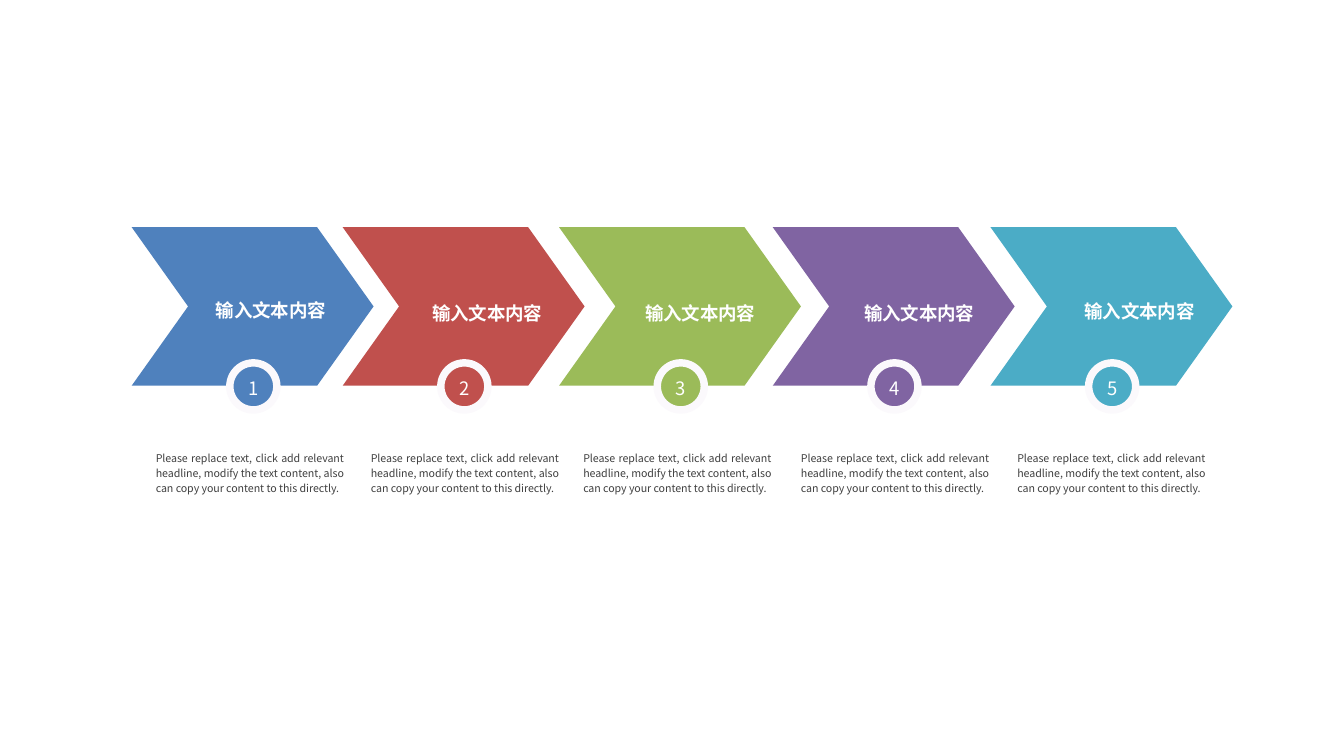
import dataclasses

import pptx
import pptx.dml.color
import pptx.enum.shapes
import pptx.enum.text
import pptx.oxml.ns
import pptx.util
from lxml import etree

PX = 9144  # EMU per px, 100 px to the inch
SLIDE_W = 1000
ALIGN = pptx.enum.text.PP_ALIGN
ANCHOR = pptx.enum.text.MSO_ANCHOR
SHAPE = pptx.enum.shapes.MSO_SHAPE


@dataclasses.dataclass(frozen=True)
class Theme:
    font: str = "Noto Sans CJK SC"
    label_size: float = 9.9
    body_size: float = 5.7
    line_spacing: float = 1.2
    ring_width: float = 4
    white: str = "FFFFFF"
    ring: str = "FBF9FC"
    body: str = "404040"


THEME = Theme()
LABEL = "输入文本内容"
BODY = ("Please replace text, click add relevant headline, modify the text "
        "content, also can copy your content to this directly.")

# Arrow left, arrow colour, label box, left of the description
STEPS = [
    (98, "4F81BD", (160, 219, 83, 20), 116),
    (255, "C0504D", (304, 222, 117, 18), 276),
    (416, "9BBB59", (460, 222, 122, 18), 434),
    (575, "8064A2", (624, 222, 120, 18), 596),
    (737, "4BACC6", (786, 222, 124, 15), 757),
]
ARROW_TOP, ARROW_W, ARROW_H, ARROW_POINT = 169, 180, 118, 42
BADGE_DX, BADGE_DY, BADGE_SIZE = 73, 101, 35
BODY_TOP, BODY_W, BODY_H = 334, 140, 34


def emu(box):
    return [v * PX for v in box]


def rgb(value):
    return pptx.dml.color.RGBColor.from_string(value)


def write(sp, text, size, color, align=ALIGN.CENTER, anchor=ANCHOR.MIDDLE,
          bold=False, wrap=False):
    tf = sp.text_frame
    tf.margin_left = tf.margin_right = tf.margin_top = tf.margin_bottom = 0
    tf.word_wrap = wrap
    tf.vertical_anchor = anchor
    tf.text = text
    p = tf.paragraphs[0]
    p.alignment = align
    p.line_spacing = THEME.line_spacing
    font = p.runs[0].font
    font.size = pptx.util.Pt(size)
    font.name = THEME.font
    font.bold = bold
    font.color.rgb = rgb(color)
    # East Asian typeface
    ea = etree.SubElement(p.runs[0]._r.get_or_add_rPr(),
                          pptx.oxml.ns.qn("a:ea"))
    ea.set("typeface", THEME.font)


def add_filled(slide, kind, box, color):
    sp = slide.shapes.add_shape(kind, *emu(box))
    sp.shadow.inherit = False
    sp.fill.solid()
    sp.fill.fore_color.rgb = rgb(color)
    sp.line.fill.background()
    return sp


def add_arrow(slide, box, color, label_box):
    sp = add_filled(slide, SHAPE.CHEVRON, box, color)
    sp.adjustments[0] = ARROW_POINT / box[3]
    x, y, w, h = label_box
    label = slide.shapes.add_textbox(*emu((box[0] + x, box[1] + y, w, h)))
    write(label, LABEL, THEME.label_size, THEME.white, bold=True)


def add_badge(slide, box, number, color):
    sp = add_filled(slide, SHAPE.OVAL, box, color)
    sp.line.color.rgb = rgb(THEME.ring)
    sp.line.width = pptx.util.Pt(THEME.ring_width)
    write(sp, str(number), THEME.label_size, THEME.white)


def add_description(slide, box):
    sp = slide.shapes.add_textbox(*emu(box))
    write(sp, BODY, THEME.body_size, THEME.body, ALIGN.JUSTIFY, ANCHOR.TOP,
          wrap=True)


def build_process(slide):
    # Arrows with their labels
    for left, color, (x, y, w, h), _ in STEPS:
        add_arrow(slide, (left, ARROW_TOP, ARROW_W, ARROW_H), color,
                  (x - left, y - ARROW_TOP, w, h))
    # Numbered badges on the lower edge of the arrows
    for number, (left, color, _, _) in enumerate(STEPS, start=1):
        add_badge(slide, (left + BADGE_DX, ARROW_TOP + BADGE_DY,
                          BADGE_SIZE, BADGE_SIZE), number, color)
    # Descriptions
    for *_, left in STEPS:
        add_description(slide, (left, BODY_TOP, BODY_W, BODY_H))


def main():
    prs = pptx.Presentation()
    # Widescreen, 16:9
    prs.slide_width = SLIDE_W * PX
    prs.slide_height = SLIDE_W * PX * 9 // 16
    slide = prs.slides.add_slide(prs.slide_layouts[6])
    build_process(slide)
    prs.save("out.pptx")


if __name__ == "__main__":
    main()
